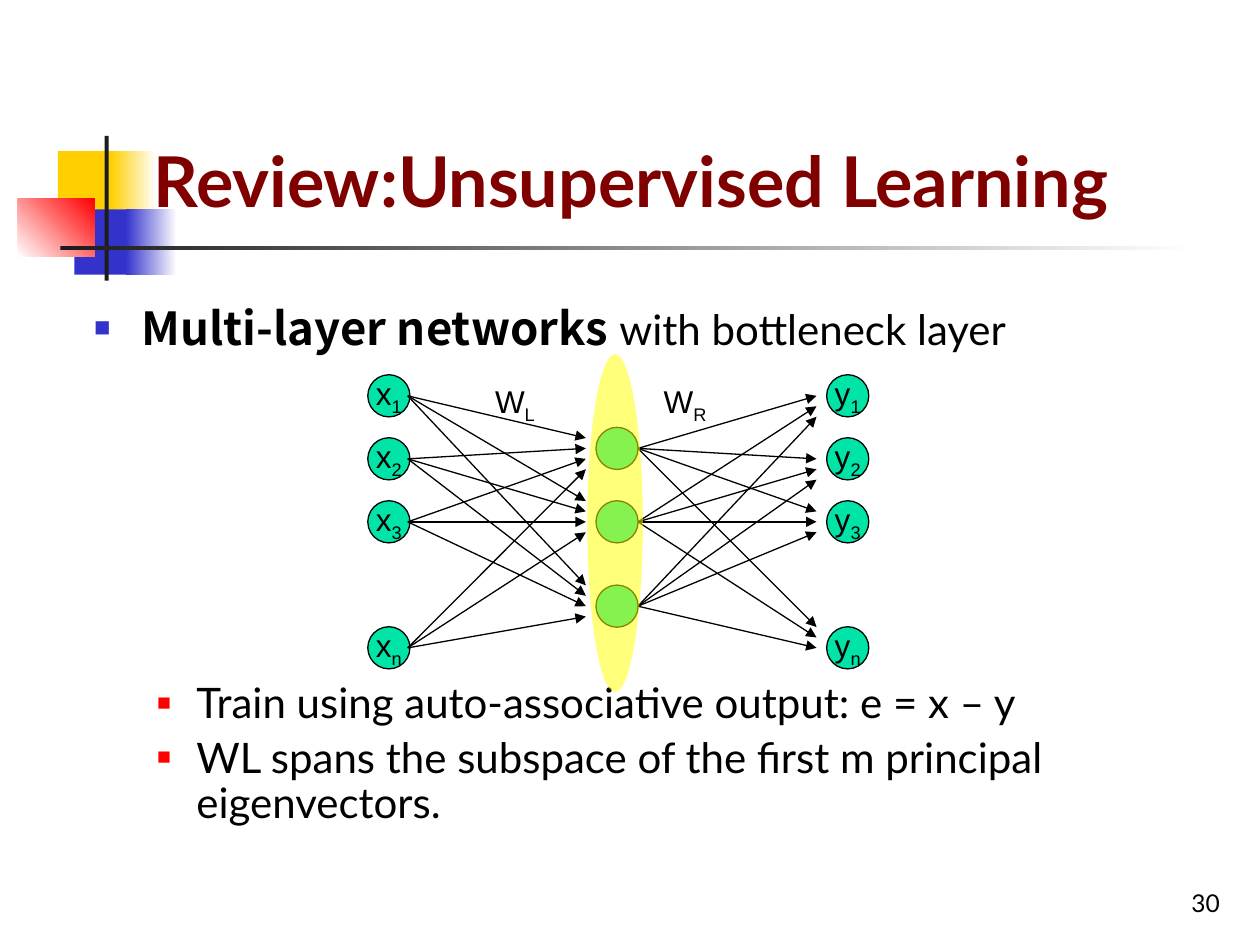
from dataclasses import dataclass
from typing import Optional

from lxml.etree import SubElement
from pptx import Presentation
from pptx.dml.color import RGBColor
from pptx.enum.shapes import MSO_CONNECTOR as CONN, MSO_SHAPE as SHAPE
from pptx.enum.text import MSO_ANCHOR as ANCHOR, MSO_AUTO_SIZE as AUTO, PP_ALIGN as ALIGN
from pptx.oxml.ns import qn
from pptx.util import Cm, Pt

BLACK, WHITE, DARK, GREEN = "000000", "FFFFFF", "1C1C1C", "00E4A8"
YELLOW, BLUE, RED, MAROON = "FFCF01", "3333CC", "FF0000", "800000"
LATO, SANS, CJK = "Lato", "Arial", "Noto Sans CJK SC"


@dataclass
class Block:
    """Decorative rectangle in cm; a second colour makes it a gradient."""
    x: float
    y: float
    w: float
    h: float
    color: str
    end: Optional[str] = None
    angle: float = 0


@dataclass
class Bullet:
    runs: list  # (text, size, font, bold)
    color: str
    percent: int
    left: float
    hang: float
    before: float = 0
    spacing: float = 1.0


def rgb(color: str) -> RGBColor:
    return RGBColor.from_string(color)


def box(x, y, w, h):
    return Cm(x), Cm(y), Cm(w), Cm(h)


def add_run(p, text: str, size: float, font: str, color=BLACK, bold=False):
    r = p.add_run()
    r.text = text
    r.font.size, r.font.name, r.font.bold = Pt(size), font, bold
    r.font.color.rgb = rgb(color)
    return r


def add_symbol(p, letter: str, index: str) -> None:
    add_run(p, letter, 18, SANS)
    add_run(p, index, 18, SANS).font._element.set("baseline", "-25000")


def add_shape(kind, x, y, w, h, color: str):
    sp = slide.shapes.add_shape(kind, *box(x, y, w, h))
    sp.shadow.inherit = False
    sp.fill.solid()
    sp.fill.fore_color.rgb = rgb(color)
    sp.line.fill.background()
    return sp


def add_block(b: Block) -> None:
    sp = add_shape(SHAPE.RECTANGLE, b.x, b.y, b.w, b.h, b.color)
    if b.end:
        sp.fill.gradient()
        sp.fill.gradient_angle = b.angle
        for stop, color, pos in zip(sp.fill.gradient_stops, (b.color, b.end), (0, 1)):
            stop.color.rgb, stop.position = rgb(color), pos


def add_bullet(p, b: Bullet) -> None:
    pPr = p._p.get_or_add_pPr()
    pPr.set("marL", str(Cm(b.left)))
    pPr.set("indent", str(-Cm(b.hang)))
    SubElement(SubElement(pPr, qn("a:buClr")), qn("a:srgbClr"), val=b.color)
    SubElement(pPr, qn("a:buSzPct"), val=str(b.percent * 1000))
    SubElement(pPr, qn("a:buFont"), typeface=SANS)
    SubElement(pPr, qn("a:buChar"), char="■")
    p.alignment = ALIGN.LEFT
    p.space_before, p.line_spacing = Pt(b.before), b.spacing
    for text, size, font, bold in b.runs:
        add_run(p, text, size, font, bold=bold)


def add_node(cx: float, cy: float, letter="", index="") -> None:
    sp = add_shape(SHAPE.OVAL, cx - NODE / 2, cy - NODE / 2, NODE, NODE, GREEN)
    sp.line.color.rgb, sp.line.width = rgb(BLACK), Pt(0.75)
    if letter:
        tf = sp.text_frame
        tf.word_wrap, tf.vertical_anchor = False, ANCHOR.MIDDLE
        tf.paragraphs[0].alignment = ALIGN.CENTER
        add_symbol(tf.paragraphs[0], letter, index)


def add_arrow(x1: float, y1: float, x2: float, y2: float) -> None:
    cn = slide.shapes.add_connector(CONN.STRAIGHT, Cm(x1), Cm(y1), Cm(x2), Cm(y2))
    cn.line.color.rgb, cn.line.width = rgb(BLACK), Pt(0.75)
    SubElement(cn.line._get_or_add_ln(), qn("a:tailEnd"), type="triangle")
    SubElement(cn._element.spPr, qn("a:effectLst"))


def add_weight(x: float, index: str) -> None:
    tf = slide.shapes.add_textbox(*box(x, 7.57, 1.4, 1.02)).text_frame
    tf.word_wrap = False
    add_symbol(tf.paragraphs[0], "W", index)


prs = Presentation()
prs.slide_width, prs.slide_height = Cm(25.4), Cm(19.05)
slide = prs.slides.add_slide(prs.slide_layouts[5])

# Corner decoration and rule under the title
for block in (
    Block(1.17, 3.05, 1.22, 1.32, YELLOW),
    Block(2.24, 3.05, 0.91, 1.32, YELLOW, WHITE),
    Block(1.5, 4.22, 1.17, 1.32, BLUE),
    Block(2.54, 4.22, 1.02, 1.32, BLUE, WHITE),
    Block(0.36, 4.01, 1.55, 1.17, WHITE, RED, 45),
    Block(2.11, 2.74, 0.08, 2.92, DARK),
    Block(1.22, 4.95, 22.86, 0.09, DARK, WHITE),
):
    add_block(block)

# Title, in front of the decoration
title = slide.shapes.title
title.left, title.top, title.width, title.height = box(2.84, 0.53, 21.64, 4.06)
slide.shapes._spTree.append(title._element)
tf = title.text_frame
tf.auto_size, tf.word_wrap, tf.vertical_anchor = AUTO.NONE, True, ANCHOR.BOTTOM
tf.paragraphs[0].alignment = ALIGN.LEFT
add_run(tf.paragraphs[0], "Review:Unsupervised Learning", 40, LATO, MAROON, True)

# Body panel; the wide gap leaves room for the network
body = add_shape(SHAPE.RECTANGLE, 1.65, 5.92, 22.86, 13.13, WHITE)
tf = body.text_frame
tf.word_wrap, tf.vertical_anchor, tf.margin_top = True, ANCHOR.TOP, Cm(0.13)
bullets = (
    Bullet([("Multi-layer networks ", 26, CJK, True),
            ("with bottleneck layer", 24, LATO, False)], BLUE, 60, 0.95, 0.95),
    Bullet([("Train using auto-associative output: e = x – y", 24, LATO, False)],
           RED, 55, 2.06, 0.79, 187, 0.9),
    Bullet([("WL spans the subspace of the first m principal eigenvectors.", 24, LATO, False)],
           RED, 55, 2.06, 0.79, 5.5, 0.9),
)
for i, bullet in enumerate(bullets):
    add_bullet(tf.add_paragraph() if i else tf.paragraphs[0], bullet)

# Page number, in front of the body panel
tf = slide.shapes.add_textbox(*box(19.56, 17.35, 5.28, 1.27)).text_frame
tf.word_wrap, tf.vertical_anchor = True, ANCHOR.BOTTOM
tf.paragraphs[0].alignment = ALIGN.RIGHT
add_run(tf.paragraphs[0], "30", 14, LATO)

# Network: inputs x, bottleneck, outputs y
NODE, STEP = 0.85, 0.21
IN_X, HIDDEN_X, OUT_X = 7.84, 12.44, 17.09
OUTER_Y = (7.98, 9.25, 10.52, 13.06)
HIDDEN_Y = (9.04, 10.52, 12.22)
HIDDEN_MID = (1, 2, 2)    # arrow that meets each bottleneck node at its centre
OUTER_MID = (0, 0, 1, 2)  # the same for each output node

for index, y in zip("123n", OUTER_Y):
    add_node(IN_X, y, "x", index)
    add_node(OUT_X, y, "y", index)
for y in HIDDEN_Y:
    add_node(HIDDEN_X, y)
for i, outer in enumerate(OUTER_Y):
    for j, hidden in enumerate(HIDDEN_Y):
        add_arrow(8.22, outer, 11.81, hidden + (i - HIDDEN_MID[j]) * STEP)
        add_arrow(12.86, hidden, 16.46, outer + (j - OUTER_MID[i]) * STEP)

# Weight labels and bottleneck highlight
add_weight(9.73, "L")
add_weight(13.13, "R")
glow = add_shape(SHAPE.OVAL, 11.84, 7.14, 1.12, 6.81, "FFFF00")
color = glow.fill._xPr.find(qn("a:solidFill")).find(qn("a:srgbClr"))
SubElement(color, qn("a:alpha"), val="52000")

prs.save("out.pptx")
